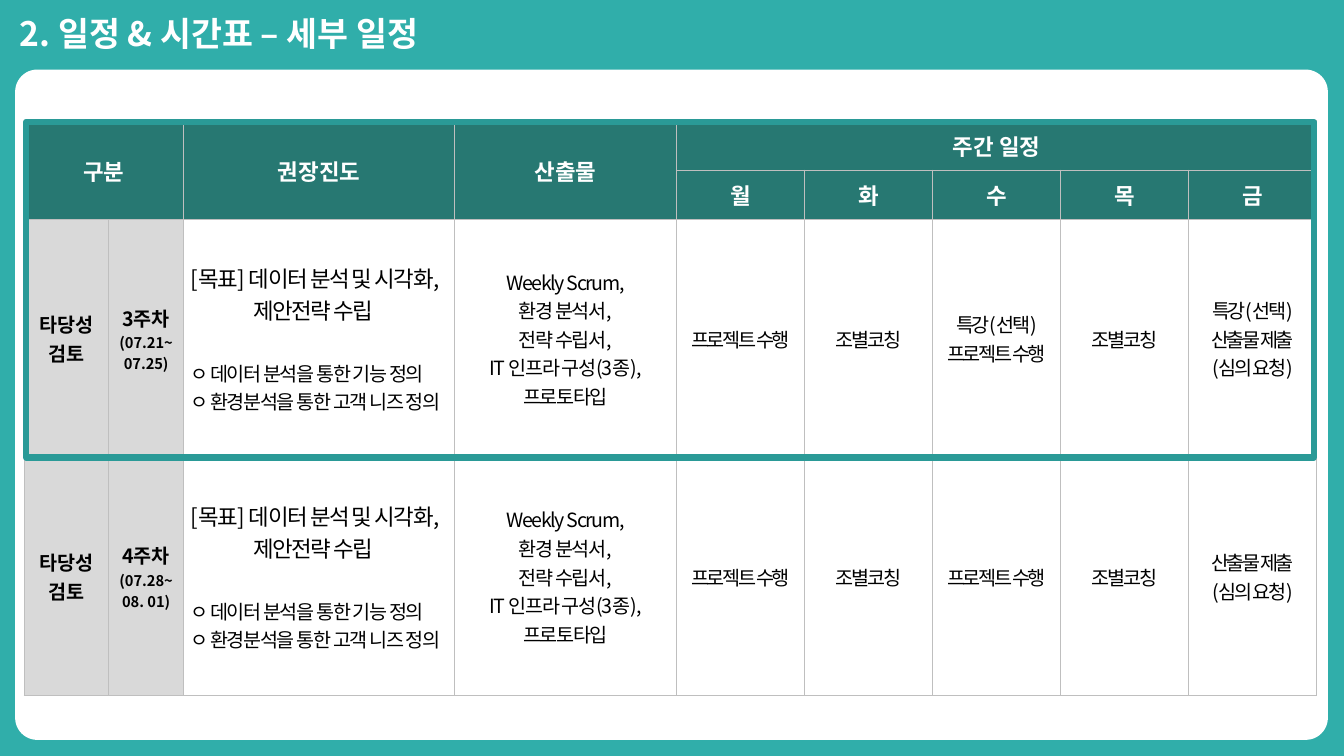
from lxml import etree
from pptx import Presentation
from pptx.dml.color import RGBColor
from pptx.enum.shapes import MSO_SHAPE
from pptx.enum.text import MSO_ANCHOR, PP_ALIGN
from pptx.oxml.ns import qn
from pptx.util import Inches, Pt

RECTANGLE = MSO_SHAPE.RECTANGLE
ROUNDED = MSO_SHAPE.ROUNDED_RECTANGLE
MIDDLE = MSO_ANCHOR.MIDDLE
LEFT, CENTER = PP_ALIGN.LEFT, PP_ALIGN.CENTER

TEAL = RGBColor(0x30, 0xAE, 0xAA)
FRAME_TEAL = RGBColor(0x2A, 0x9A, 0x97)
HEADER_TEAL = RGBColor(0x27, 0x78, 0x72)
PHASE_GRAY = RGBColor(0xD9, 0xD9, 0xD9)
BORDER_GRAY = RGBColor(0xBF, 0xBF, 0xBF)
WHITE = RGBColor(0xFF, 0xFF, 0xFF)
BLACK = RGBColor(0, 0, 0)

FONT = "Noto Sans CJK KR"
WIDTH, HEIGHT = 13.33, 7.5
COLUMNS = [0.84, 0.74, 2.69, 2.2] + [1.27] * 5
ROWS = [0.49] * 2 + [2.36] * 2
TABLE_LEFT, TABLE_TOP = 0.24, 1.2

HEADINGS = [
    (0, 0, 1, 1, "구분"),
    (0, 2, 1, 2, "권장진도"),
    (0, 3, 1, 3, "산출물"),
    (0, 4, 0, 8, "주간 일정"),
]
DAYS = ["월", "화", "수", "목", "금"]
PHASE = ["타당성", "검토"]
GOAL = ["[목표] 데이터 분석 및 시각화,", "제안전략 수립"]
TASKS = ["ㅇ 데이터 분석을 통한 기능 정의", "ㅇ 환경분석을 통한 고객 니즈 정의"]
OUTPUTS = ["Weekly Scrum,", "환경 분석서,", "전략 수립서,", "IT 인프라 구성(3종),", "프로토타입"]
PROJECT, COACHING, LECTURE = "프로젝트 수행", "조별코칭", "특강(선택)"
SUBMISSION = ["산출물 제출", "(심의 요청)"]
WEEKS = [
    ("3주차", ["(07.21~", "07.25)"],
     [[PROJECT], [COACHING], [LECTURE, PROJECT], [COACHING], [LECTURE] + SUBMISSION]),
    ("4주차", ["(07.28~", "08. 01)"],
     [[PROJECT], [COACHING], [PROJECT], [COACHING], SUBMISSION]),
]


def format_run(run, size, color=BLACK, bold=False, spacing=0):
    """Set the font, size, colour, weight and letter spacing of a run."""
    run.font.size = Pt(size)
    run.font.bold = bold
    run.font.color.rgb = color
    run.font.name = FONT
    properties = run.font._element
    etree.SubElement(properties, qn("a:ea")).set("typeface", FONT)
    if spacing:
        properties.set("spc", str(round(spacing * 100)))


def write_lines(text_frame, lines, size, alignment=CENTER, **style):
    """Write one paragraph per line in a single style."""
    text_frame.text = "\n".join(lines)
    for paragraph in text_frame.paragraphs:
        paragraph.alignment = alignment
        for run in paragraph.runs:
            format_run(run, size, **style)


def style_cell(cell, fill=None):
    """Give a cell thin grey borders, a fill and middle anchoring."""
    cell.vertical_anchor = MIDDLE
    properties = cell._tc.get_or_add_tcPr()
    for side in ("lnL", "lnR", "lnT", "lnB"):
        line = etree.SubElement(properties, qn(f"a:{side}"), w=str(Pt(1)))
        solid = etree.SubElement(line, qn("a:solidFill"))
        etree.SubElement(solid, qn("a:srgbClr"), val=str(BORDER_GRAY))
    if fill is None:
        cell.fill.background()
        cell.margin_left = cell.margin_right = Inches(0.07)
        cell.margin_top = cell.margin_bottom = 0
    else:
        cell.fill.solid()
        cell.fill.fore_color.rgb = fill


def fill_header(table):
    """Merge and label the two heading rows."""
    for row in range(2):
        for column in range(len(COLUMNS)):
            style_cell(table.cell(row, column), HEADER_TEAL)
    days = [(1, column, 1, column, day) for column, day in enumerate(DAYS, 4)]
    for top, left, bottom, right, label in HEADINGS + days:
        cell = table.cell(top, left)
        if (top, left) != (bottom, right):
            cell.merge(table.cell(bottom, right))
        write_lines(cell.text_frame, [label], 16, color=WHITE, bold=True)


def fill_progress(text_frame):
    """Write the goal and the tasks of a week."""
    write_lines(text_frame, GOAL + TASKS, 14, LEFT, spacing=-1)
    paragraphs = text_frame.paragraphs
    for paragraph in paragraphs[:len(GOAL)]:
        paragraph.runs[0].font.size = Pt(16)
    paragraphs[1]._p.get_or_add_pPr().set("marL", str(Inches(0.62)))
    paragraphs[len(GOAL)].space_before = Pt(23)


def fill_week(table, row, week, dates, schedule):
    """Fill one week row of the schedule."""
    cells = [table.cell(row, column) for column in range(len(COLUMNS))]
    for column, cell in enumerate(cells):
        style_cell(cell, PHASE_GRAY if column < 2 else None)
    write_lines(cells[0].text_frame, PHASE, 14, bold=True)
    write_lines(cells[1].text_frame, [week, dates[1]], 10.5, bold=True)
    first = cells[1].text_frame.paragraphs[0]
    first.runs[0].font.size = Pt(14)
    start = first.add_run()
    start.text = dates[0]
    format_run(start, 10.5, bold=True)
    fill_progress(cells[2].text_frame)
    write_lines(cells[3].text_frame, OUTPUTS, 14, spacing=-1)
    for cell, activities in zip(cells[4:], schedule):
        write_lines(cell.text_frame, activities, 14, spacing=-1.7)


def add_schedule(slide):
    """Add the weekly schedule table."""
    frame = slide.shapes.add_table(
        len(ROWS), len(COLUMNS), Inches(TABLE_LEFT), Inches(TABLE_TOP),
        Inches(sum(COLUMNS)), Inches(sum(ROWS)))
    table = frame.table
    table.first_row = table.horz_banding = False
    for column, width in zip(table.columns, COLUMNS):
        column.width = Inches(width)
    for row, height in zip(table.rows, ROWS):
        row.height = Inches(height)
    fill_header(table)
    for row, week in enumerate(WEEKS, 2):
        fill_week(table, row, *week)


def add_box(slide, preset, left, top, width, height, fill=None, line=None):
    """Add a preset shape with an optional fill and outline."""
    shape = slide.shapes.add_shape(
        preset, Inches(left), Inches(top), Inches(width), Inches(height))
    shape.shadow.inherit = False
    for target, color in ((shape.fill, fill), (shape.line.fill, line)):
        if color is None:
            target.background()
        else:
            target.solid()
            target.fore_color.rgb = color
    return shape


def add_title(slide, text):
    """Add the slide title on the coloured band."""
    box = slide.shapes.add_textbox(Inches(0.1), Inches(0.08), Inches(5.06), Inches(0.5))
    box.text_frame.word_wrap = False
    write_lines(box.text_frame, [text], 24, LEFT, color=WHITE, bold=True)


def main():
    """Build the schedule slide and save it."""
    presentation = Presentation()
    presentation.slide_width = Inches(WIDTH)
    presentation.slide_height = Inches(HEIGHT)
    slide = presentation.slides.add_slide(presentation.slide_layouts[6])
    slide.background.fill.solid()
    slide.background.fill.fore_color.rgb = TEAL
    add_title(slide, "2. 일정 & 시간표 – 세부 일정")
    panel = add_box(slide, ROUNDED, 0.15, 0.69, WIDTH - 0.31, 6.65, fill=WHITE)
    panel.adjustments[0] = 0.033
    add_schedule(slide)
    current_week = add_box(
        slide, RECTANGLE, TABLE_LEFT + 0.02, TABLE_TOP + 0.01,
        sum(COLUMNS) - 0.05, sum(ROWS[:3]) - 0.01, line=FRAME_TEAL)
    current_week.line.width = Pt(4.5)
    presentation.save("out.pptx")


if __name__ == "__main__":
    main()
